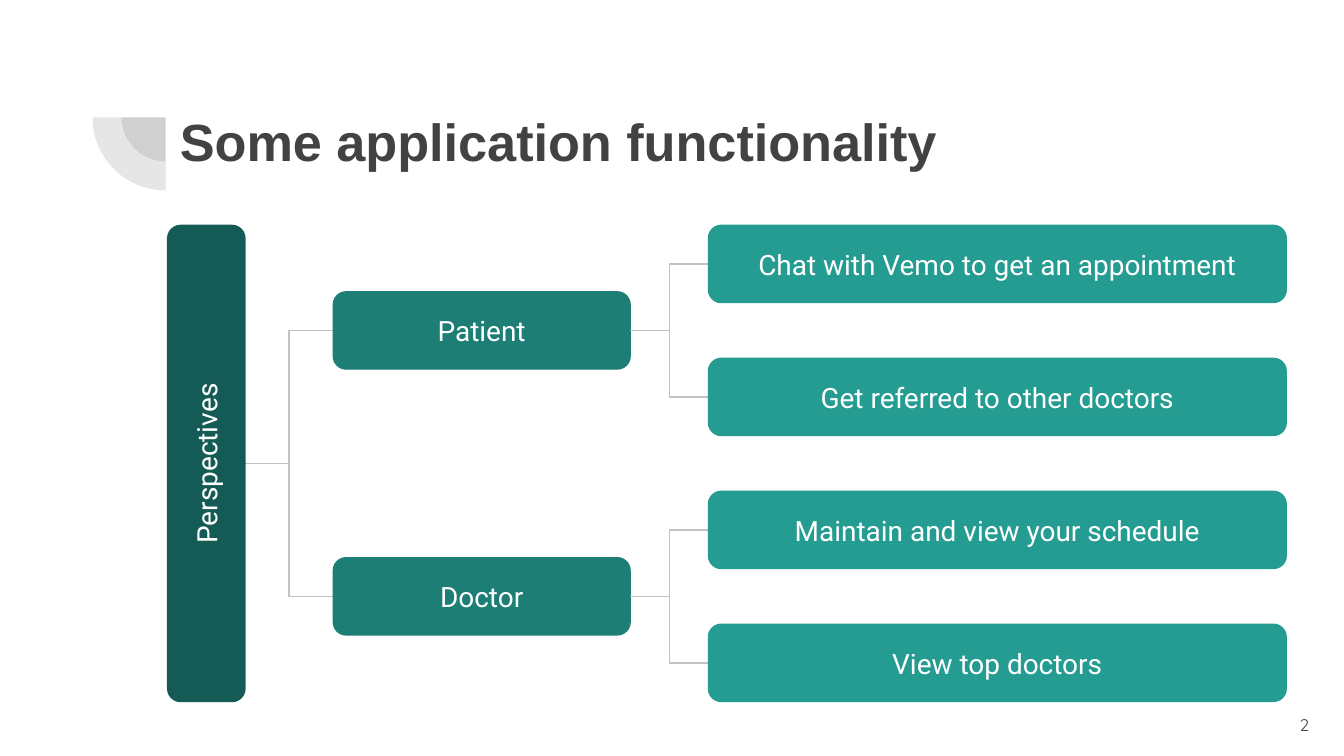
from pptx import Presentation, util as u
from pptx.dml.color import RGBColor
from pptx.enum import shapes, text
from pptx.oxml import parse_xml
from pptx.oxml.ns import nsdecls, qn

INK = RGBColor(0x42, 0x42, 0x42)
WHITE = RGBColor(0xFF, 0xFF, 0xFF)
LINE = RGBColor(0xC2, 0xC2, 0xC2)
TRUNK = RGBColor(0x15, 0x5B, 0x55)
BRANCH = RGBColor(0x1D, 0x7E, 0x75)
LEAF = RGBColor(0x24, 0x9C, 0x91)

TITLE_FONT = {"name": "Arial", "size": u.Pt(28), "bold": True}
BOX_FONT = {"name": "Roboto", "size": u.Pt(15)}
NUMBER_FONT = {"name": "Quicksand", "size": u.Pt(9)}
MARGINS = ("margin_left", "margin_top", "margin_right", "margin_bottom")

BOX_HEIGHT = 1.46
PERSPECTIVES = {
    "Patient": ["Chat with Vemo to get an appointment", "Get referred to other doctors"],
    "Doctor": ["Maintain and view your schedule", "View top doctors"],
}


def write(shape, words, font, color, align, anchor):
    frame = shape.text_frame
    frame.word_wrap = True
    frame.vertical_anchor = anchor
    for margin in MARGINS:
        setattr(frame, margin, u.Cm(0.25))
    paragraph = frame.paragraphs[0]
    paragraph.alignment = align
    run = paragraph.add_run()
    run.text = words
    for name, value in font.items():
        setattr(run.font, name, value)
    run.font.color.rgb = color
    return paragraph


def add_ornament(slide, center_x, center_y):
    """Two translucent quarter discs around one centre."""
    for radius in (0.83, 1.38):
        pie = slide.shapes.add_shape(
            shapes.MSO_SHAPE.PIE, u.Cm(center_x - radius), u.Cm(center_y - radius),
            u.Cm(2 * radius), u.Cm(2 * radius))
        pie.adjustments[0], pie.adjustments[1] = 108, 162
        pie.rotation = 270
        pie.shadow.inherit = False
        pie.line.fill.background()
        pie.fill.solid()
        pie.fill.fore_color.rgb = INK
        color = pie.fill._xPr.find(qn("a:solidFill"))[0]
        color.append(parse_xml(f'<a:alpha {nsdecls("a")} val="13000"/>'))


def add_label(slide, box, words, font, align, anchor):
    label = slide.shapes.add_textbox(*map(u.Cm, box))
    return write(label, words, font, INK, align, anchor)


def add_node(slide, left, center_y, width, words, color, rotation=0):
    node = slide.shapes.add_shape(
        shapes.MSO_SHAPE.ROUNDED_RECTANGLE, u.Cm(left), u.Cm(center_y - BOX_HEIGHT / 2),
        u.Cm(width), u.Cm(BOX_HEIGHT))
    node.rotation = rotation
    node.shadow.inherit = False
    node.fill.solid()
    node.fill.fore_color.rgb = node.line.color.rgb = color
    node.line.width = u.Pt(0.75)
    write(node, words, BOX_FONT, WHITE, text.PP_ALIGN.CENTER, text.MSO_ANCHOR.MIDDLE)


def add_elbow(slide, *ends):
    elbow = slide.shapes.add_connector(shapes.MSO_CONNECTOR.ELBOW, *map(u.Cm, ends))
    elbow.line.color.rgb = LINE
    elbow.line.width = u.Pt(0.75)
    elbow._element.spPr.append(parse_xml(f'<a:effectLst {nsdecls("a")}/>'))


def add_tree(slide, left, top, width, height):
    """Tree from left to right; each branch is centred on its leaves."""
    branch_left, branch_width = left + 3.13, 5.61
    branch_right = branch_left + branch_width
    leaf_width = 10.92
    leaf_left = left + width - leaf_width
    trunk_right = left + BOX_HEIGHT
    middle = top + height / 2
    leaf_count = sum(map(len, PERSPECTIVES.values()))
    pitch = (height - BOX_HEIGHT) / (leaf_count - 1)
    leaf_y = top + BOX_HEIGHT / 2

    for branch, leaves in PERSPECTIVES.items():
        branch_y = leaf_y + pitch * (len(leaves) - 1) / 2
        add_elbow(slide, trunk_right, middle, branch_left, branch_y)
        add_node(slide, branch_left, branch_y, branch_width, branch, BRANCH)
        for leaf in leaves:
            add_elbow(slide, branch_right, branch_y, leaf_left, leaf_y)
            add_node(slide, leaf_left, leaf_y, leaf_width, leaf, LEAF)
            leaf_y += pitch

    trunk_left = left + (BOX_HEIGHT - height) / 2
    add_node(slide, trunk_left, middle, height, "Perspectives", TRUNK, rotation=270)


def main():
    presentation = Presentation()
    presentation.slide_width, presentation.slide_height = u.Cm(25.4), u.Cm(14.29)
    slide = presentation.slides.add_slide(presentation.slide_layouts[6])
    add_ornament(slide, 3.13, 2.22)
    title = add_label(slide, (3.15, 1.7, 19.53, 2.77), "Some application functionality",
                      TITLE_FONT, text.PP_ALIGN.LEFT, text.MSO_ANCHOR.TOP)
    title.line_spacing = 1.1
    add_tree(slide, 3.17, 4.26, 21.14, 9)
    add_label(slide, (23.47, 13.16, 1.52, 1.09), "2",
              NUMBER_FONT, text.PP_ALIGN.RIGHT, text.MSO_ANCHOR.MIDDLE)
    presentation.save("out.pptx")


if __name__ == "__main__":
    main()
